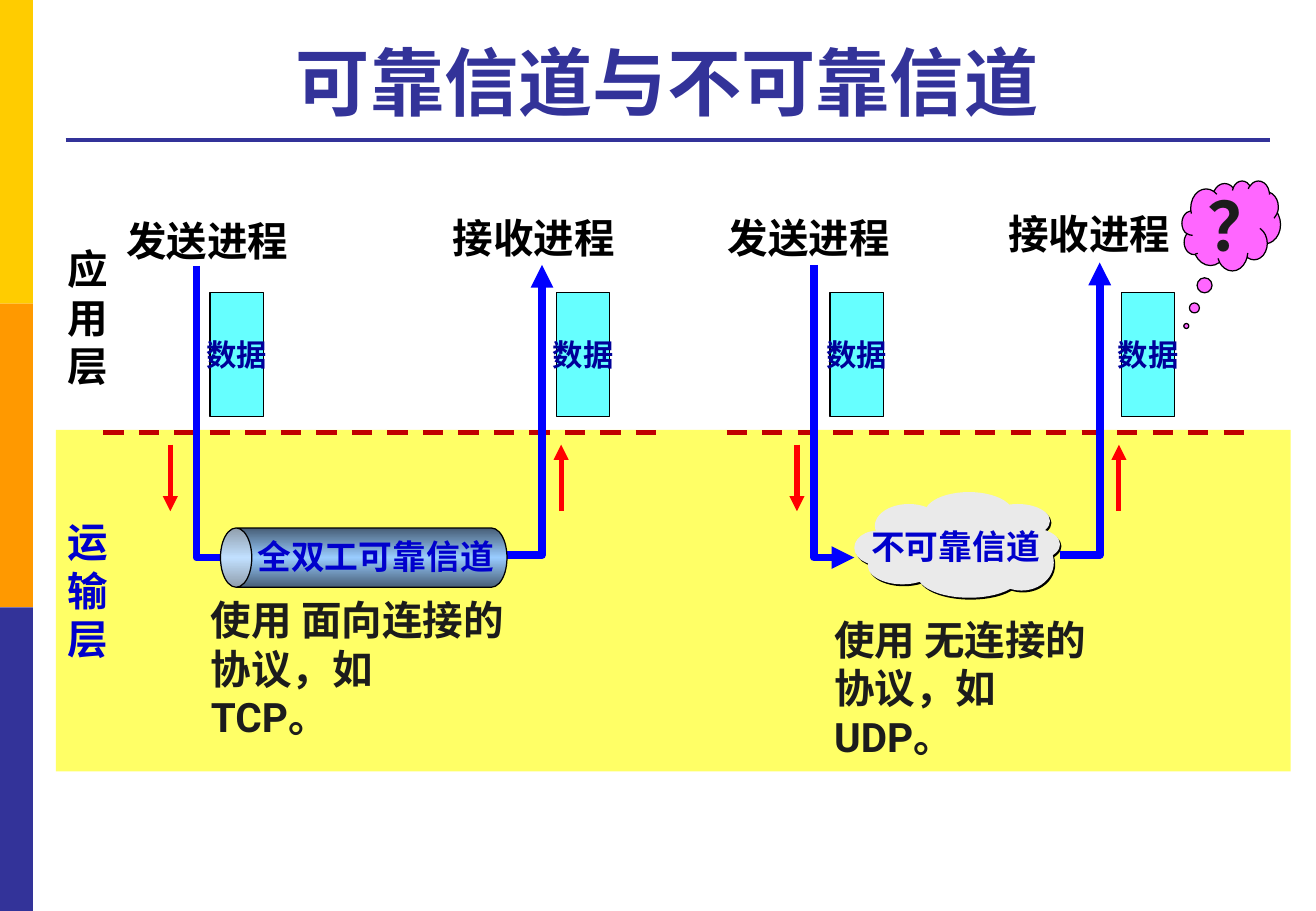
from copy import deepcopy
from dataclasses import dataclass

from lxml.etree import SubElement
from pptx import Presentation
from pptx.dml.color import RGBColor
from pptx.enum.dml import MSO_LINE_DASH_STYLE as Dash
from pptx.enum.shapes import MSO_CONNECTOR_TYPE as Connector, MSO_SHAPE as Shape
from pptx.enum.text import MSO_ANCHOR as Anchor, MSO_AUTO_SIZE as AutoSize, PP_ALIGN as Align
from pptx.oxml.ns import qn
from pptx.util import Cm, Pt


@dataclass(frozen=True)
class Theme:
    navy: str = "333399"
    gold: str = "FFCC00"
    orange: str = "FF9900"
    layer: str = "FFFF66"
    thought: str = "FF66FF"
    data: str = "66FFFF"
    data_text: str = "000099"
    channel_text: str = "0000CC"
    body: str = "1C1C1C"
    black: str = "000000"
    flow: str = "0000FF"
    signal: str = "FF0000"
    border: str = "C00000"
    cloud: str = "EAEAEA"
    can_edge: str = "475E76"
    can_light: str = "99CCFF"
    title_font: str = "Arial"
    body_font: str = "Roboto"
    title_size: int = 44
    question_size: int = 40
    label_size: int = 24
    channel_size: int = 20
    data_size: int = 18


THEME = Theme()


@dataclass(frozen=True)
class Box:
    left: float
    top: float
    width: float
    height: float

    def inner(self, left, top, width, height):
        return Box(self.left + left, self.top + top, width, height)

    def point(self, x, y):
        return Cm(self.left + x), Cm(self.top + y)

    def lengths(self):
        return [Cm(value) for value in (self.left, self.top, self.width, self.height)]


@dataclass(frozen=True)
class Branch:
    process: str
    label: tuple
    line_x: float
    line_top: float
    joint: tuple
    data_x: float
    signal_x: float
    sending: bool


RELIABLE = (
    Branch("发送进程", (0.23, 0.15), 1.95, 1.32, (2.97, 7.42), 2.23, 1.4, True),
    Branch("接收进程", (7.06, 0.08), 9.17, 1.3, (8.15, 7.37), 9.47, 9.57, False),
)
UNRELIABLE = (
    Branch("发送进程", (-0.23, 0.08), 1.83, 1.3, (2.67, 7.42), 2.16, 1.47, True),
    Branch("接收进程", (5.64, 0), 7.8, 1.25, (6.96, 7.37), 8.25, 8.2, False),
)
CLOUD_PUFFS = (
    (1.47, 0, 1.85, 0.89), (0.43, 0.25, 1.42, 0.91), (0, 0.81, 0.94, 0.71),
    (0.28, 1.14, 1.45, 0.79), (1.32, 1.27, 2.16, 0.94), (2.74, 0.25, 1.35, 0.71),
    (2.95, 0.74, 1.35, 0.71), (2.82, 0.89, 1.35, 1.17), (0.79, 0.53, 2.79, 1.17),
)


def apply_format(target, values):
    for name, value in values.items():
        setattr(target, name, value)


def write_text(shape, lines, size, color, font=THEME.body_font, align=Align.LEFT, **frame_format):
    frame = shape.text_frame
    apply_format(frame, {"auto_size": AutoSize.NONE, "word_wrap": True, **frame_format})
    frame.text = "\n".join(lines)
    for paragraph in frame.paragraphs:
        paragraph.alignment = align
        apply_format(paragraph.font, {"name": font, "size": Pt(size), "bold": True})
        paragraph.font.color.rgb = RGBColor.from_string(color)


def add_text(slide, box, lines, size, color, **options):
    textbox = slide.shapes.add_textbox(*box.lengths())
    write_text(textbox, lines, size, color, **{"auto_size": AutoSize.SHAPE_TO_FIT_TEXT, **options})


def add_filled(slide, kind, box, fill, outlined=False):
    shape = slide.shapes.add_shape(kind, *box.lengths())
    shape.shadow.inherit = False
    shape.fill.solid()
    shape.fill.fore_color.rgb = RGBColor.from_string(fill)
    if outlined:
        style_line(shape, THEME.black, 0.75)
    else:
        shape.line.fill.background()
    return shape


def style_line(shape, color, width, dash=None, arrow=False):
    shape.line.color.rgb = RGBColor.from_string(color)
    apply_format(shape.line, {"width": Pt(width), "dash_style": dash})
    if arrow:
        SubElement(shape.line._get_or_add_ln(), qn("a:tailEnd"), type="triangle")


def add_line(slide, start, end, color, width, **options):
    connector = slide.shapes.add_connector(Connector.STRAIGHT, *start, *end)
    style_line(connector, color, width, **options)
    SubElement(connector._element.spPr, qn("a:effectLst"))


def draw_sidebar(slide, box):
    height = box.height / 3
    for row, color in enumerate((THEME.gold, THEME.orange, THEME.navy)):
        add_filled(slide, Shape.RECTANGLE, box.inner(0, row * height, box.width, height), color)


def draw_title(slide, box, text):
    title = slide.shapes.title
    names = ("left", "top", "width", "height")
    apply_format(title, dict(zip(names, box.lengths())))
    write_text(title, [text], THEME.title_size, THEME.navy, font=THEME.title_font,
               align=Align.CENTER, vertical_anchor=Anchor.BOTTOM)
    add_line(slide, box.point(0, 2.39), box.point(box.width, 2.39), THEME.navy, 2.25)


def draw_layers(slide, box):
    add_filled(slide, Shape.RECTANGLE, box, THEME.layer)
    for name, top, color in (("应用层", -4.01, THEME.black), ("运输层", 1.7, THEME.channel_text)):
        add_text(slide, box.inner(0, top, 1.35, 3.23), name, THEME.label_size, color, word_wrap=False)


def draw_branch(slide, box, branch):
    add_text(slide, box.inner(*branch.label, 4.14, 1.27), [branch.process],
             THEME.label_size, THEME.black)
    data = add_filled(slide, Shape.RECTANGLE, box.inner(branch.data_x, 1.88, 1.12, 2.59),
                      THEME.data, outlined=True)
    write_text(data, ["数据"], THEME.data_size, THEME.data_text, font=THEME.title_font,
               align=Align.CENTER, vertical_anchor=Anchor.MIDDLE, word_wrap=False)
    data.text_frame._txBody.bodyPr.set("vert", "wordArtVertRtl")

    joint_x, joint_y = branch.joint
    route = [(branch.line_x, branch.line_top), (branch.line_x, joint_y), (joint_x, joint_y)]
    signal = [(branch.signal_x, 5.06), (branch.signal_x, 6.45)]
    if not branch.sending:
        route.reverse()
        signal.reverse()
    start, *corners = [box.point(*place) for place in route]
    builder = slide.shapes.build_freeform(*start)
    builder.add_line_segments(corners, close=False)
    flow = builder.convert_to_shape()
    flow.shadow.inherit = False
    flow.fill.background()
    style_line(flow, THEME.flow, 4.5, arrow=True)
    add_line(slide, *[box.point(*place) for place in signal], THEME.signal, 3, arrow=True)


def draw_channel(slide, box, branches, protocol, protocol_top):
    add_line(slide, box.point(0, 4.8), box.point(box.width, 4.8), THEME.border, 3, dash=Dash.DASH)
    for branch in branches:
        draw_branch(slide, box, branch)
    add_text(slide, box.inner(2, protocol_top, 6.86, 3.4), protocol, THEME.label_size, THEME.body)


def draw_can(slide, box):
    left = (box.width - box.height) / 2
    upright = box.inner(left, -left, box.height, box.width)
    can = add_filled(slide, Shape.CAN, upright, THEME.can_light, outlined=True)
    can.rotation = 270
    can.adjustments[0] = 0.528
    can.fill.gradient()
    can.fill.gradient_angle = 0
    stops = can._element.spPr.find(".//" + qn("a:gsLst"))
    stops.append(deepcopy(stops[-1]))
    colors = (THEME.can_edge, THEME.can_light, THEME.can_edge)
    for index, (stop, color) in enumerate(zip(can.fill.gradient_stops, colors)):
        stop.position = index / 2
        stop.color.rgb = RGBColor.from_string(color)
    add_text(slide, box.inner(0.52, 0.04, 5.49, 1.09), ["全双工可靠信道"],
             THEME.channel_size, THEME.channel_text, word_wrap=False)


def draw_cloud(slide, box):
    for color, shift_x, shift_y in ((THEME.black, 0.03, 0.04), (THEME.cloud, 0, 0)):
        for left, top, width, height in CLOUD_PUFFS:
            puff = box.inner(left + shift_x, top + shift_y, width, height)
            add_filled(slide, Shape.OVAL, puff, color)
    add_text(slide, box.inner(0.1, 0.58, 4.09, 1.12), ["不可靠信道"],
             THEME.channel_size, THEME.channel_text, word_wrap=False)


def draw_thought(slide, box):
    thought = add_filled(slide, Shape.CLOUD_CALLOUT, box, THEME.thought, outlined=True)
    thought.adjustments[0], thought.adjustments[1] = -0.456, 1.116
    add_text(slide, box.inner(0.28, -0.05, 1.09, 1.96), ["？"], THEME.question_size, THEME.body,
             align=Align.CENTER, word_wrap=False)


def main():
    presentation = Presentation()
    apply_format(presentation, {"slide_width": Cm(27.51), "slide_height": Cm(19.05)})
    slide = presentation.slides.add_slide(presentation.slide_layouts[5])
    draw_sidebar(slide, Box(0, 0, 0.69, 19.05))
    draw_title(slide, Box(1.37, 0.53, 25.17, 2.21), "可靠信道与不可靠信道")
    draw_layers(slide, Box(1.17, 8.99, 25.81, 7.14))
    draw_channel(slide, Box(2.16, 4.24, 11.63, 11.5), RELIABLE,
                 ["使用 面向连接的", "协议，如\vTCP。"], 8.08)
    draw_can(slide, Box(4.61, 11.04, 5.99, 1.24))
    draw_channel(slide, Box(15.19, 4.24, 11.02, 11.5), UNRELIABLE,
                 ["使用 无连接的", "协议，如\vUDP。"], 8.49)
    draw_cloud(slide, Box(17.86, 10.29, 4.3, 2.21))
    draw_thought(slide, Box(24.71, 3.78, 2.06, 1.88))
    presentation.save("out.pptx")


if __name__ == "__main__":
    main()
